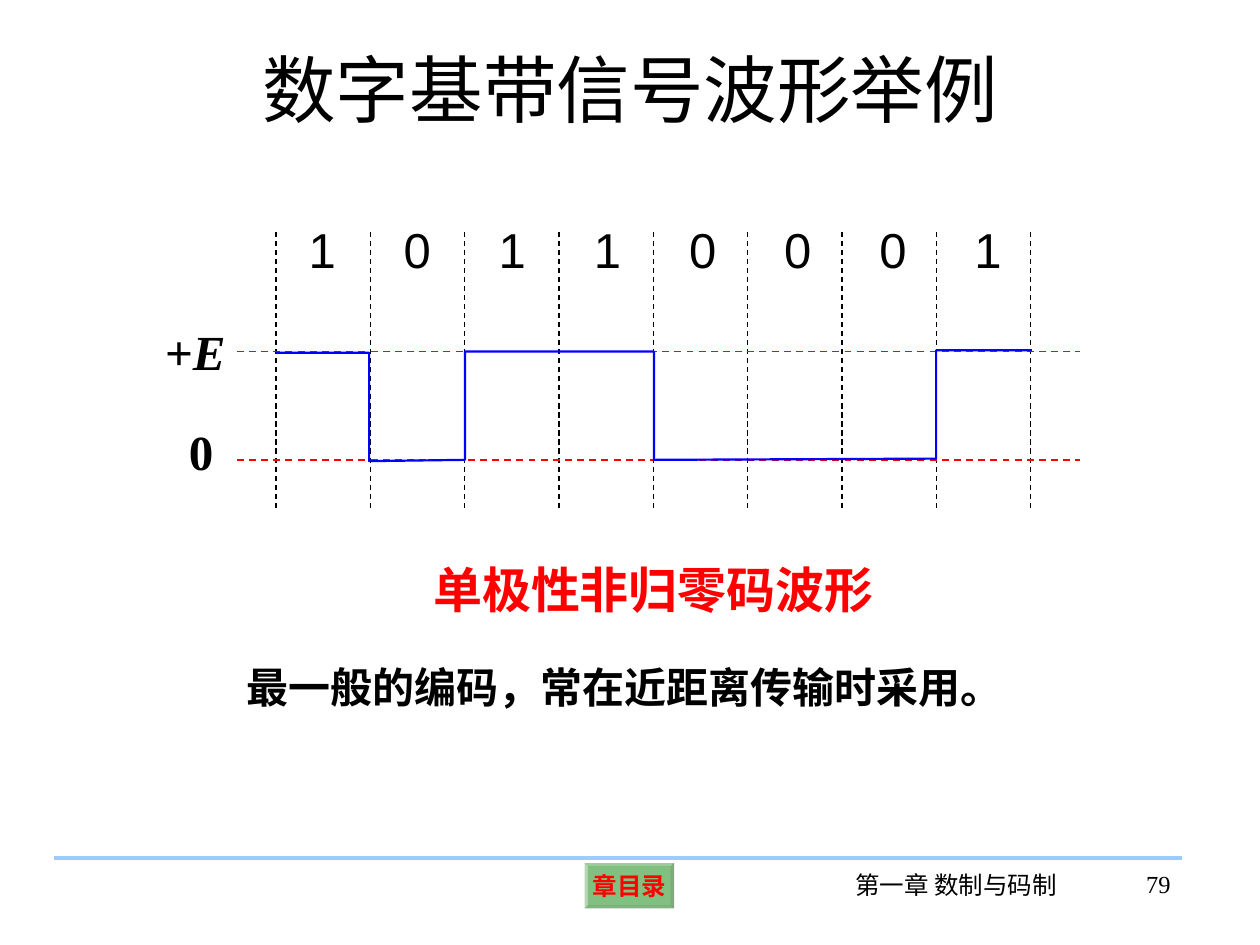
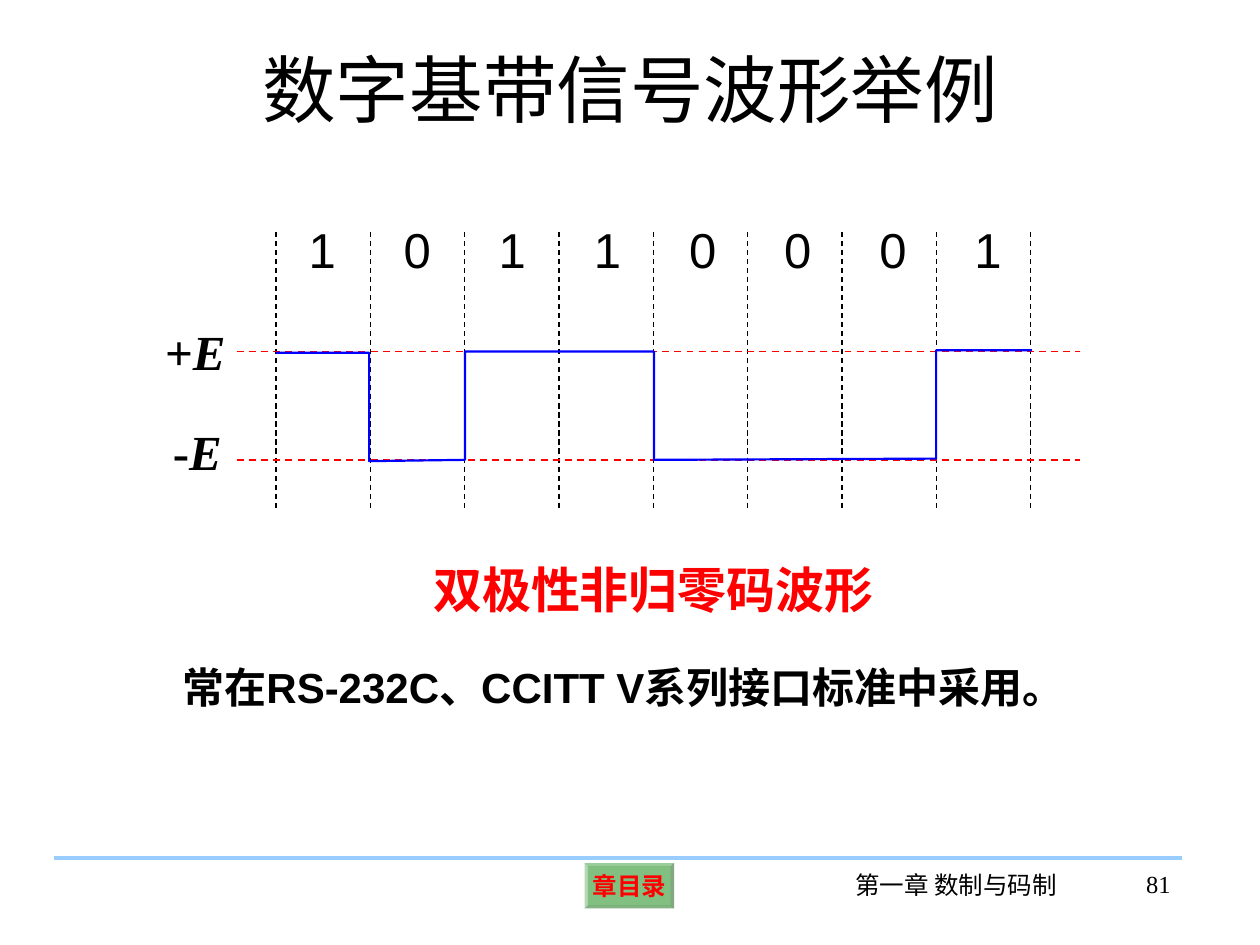
from pptx import Presentation
from pptx.dml.color import RGBColor
from pptx.enum.dml import MSO_LINE
from pptx.enum.lang import MSO_LANGUAGE_ID
from pptx.enum.shapes import MSO_CONNECTOR, MSO_SHAPE
from pptx.enum.text import MSO_ANCHOR, PP_ALIGN
from pptx.oxml.ns import qn
from pptx.util import Inches, Pt
from lxml import etree

BLACK = RGBColor(0x00, 0x00, 0x00)
RED = RGBColor(0xFF, 0x00, 0x00)
BLUE = RGBColor(0x00, 0x00, 0xFF)
SKY = RGBColor(0x99, 0xCC, 0xFF)
GREEN = RGBColor(0x00, 0x80, 0x00)
SERIF, SANS = "Times New Roman", "Arial"
LEFT, CENTER, RIGHT = PP_ALIGN.LEFT, PP_ALIGN.CENTER, PP_ALIGN.RIGHT
MIDDLE = MSO_ANCHOR.MIDDLE
BEVEL = MSO_SHAPE.BEVEL
DASH = MSO_LINE.DASH
STRAIGHT = MSO_CONNECTOR.STRAIGHT
CHINESE = MSO_LANGUAGE_ID.SIMPLIFIED_CHINESE

TITLE = "数字基带信号波形举例"
CHAPTER = "第一章 数制与码制"
BITS = "10110001"
START, END = 2.19, 8.18
STEP = (END - START) / len(BITS)
TAB = 0.755
HIGH, LOW = 2.79, 3.65
WAVE = [(2.19, 2.8), (2.93, 2.8), (2.93, 3.66), (3.69, LOW), (3.69, HIGH),
        (5.19, HIGH), (5.19, LOW), (7.43, 3.64), (7.43, 2.78), (8.19, 2.78)]

PAGES = [
    dict(num="79", name="单极性非归零码波形", low=("0", ""), zero=(1.4, 0.39),
         note="最一般的编码，常在近距离传输时采用。", place=(1.86, 6.42)),
    dict(num="81", name="双极性非归零码波形", low=("-", "E"), zero=(1.27, 0.59),
         note="常在RS-232C、CCITT V系列接口标准中采用。", place=(1.35, 7.2)),
]


def write(text, box=None, shape=None, size=28, font=SERIF, color=BLACK,
          bold=False, align=LEFT, wrap=True, slant="", tabs=()):
    if shape is None:
        shape = slide.shapes.add_textbox(*map(Inches, box))
    frame = shape.text_frame
    frame.word_wrap = wrap
    para = frame.paragraphs[0]
    para.alignment = align
    if tabs:
        stops = etree.SubElement(para._p.get_or_add_pPr(), qn("a:tabLst"))
        for pos in tabs:
            etree.SubElement(stops, qn("a:tab"), pos=str(Inches(pos)), algn="l")
    for part, tilt in ((text, False), (slant, True)):
        if part:
            run = para.add_run()
            run.text = part
            run.font.size = Pt(size)
            run.font.name = font
            run.font.bold = bold
            run.font.italic = tilt
            run.font.color.rgb = color
            run.font.language_id = CHINESE


def rule(x1, y1, x2, y2, color, width=0.75, dash=None):
    line = slide.shapes.add_connector(STRAIGHT, *map(Inches, (x1, y1, x2, y2)))
    line.line.color.rgb = color
    line.line.width = Pt(width)
    if dash:
        line.line.dash_style = dash
    etree.SubElement(line._element.spPr, qn("a:effectLst"))


deck = Presentation()
deck.slide_width = Inches(10)
deck.slide_height = Inches(7.5)

for page in PAGES:
    slide = deck.slides.add_slide(deck.slide_layouts[6])

    button = slide.shapes.add_shape(BEVEL, *map(Inches, (4.64, 6.85, 0.71, 0.36)))
    button.shadow.inherit = False
    button.adjustments[0] = 0.07
    button.fill.solid()
    button.fill.fore_color.rgb = GREEN
    tint = button._element.spPr.find(qn("a:solidFill"))[0]
    etree.SubElement(tint, qn("a:alpha"), val="49000")
    button.line.fill.background()
    frame = button.text_frame
    frame.margin_left = frame.margin_right = Inches(0.04)
    frame.margin_top = frame.margin_bottom = Inches(0.04)
    frame.vertical_anchor = MIDDLE
    write("章目录", shape=button, size=14, color=RED, bold=True,
          align=CENTER, wrap=False)
    rule(0.43, 6.81, 9.38, 6.81, SKY, width=2.25)
    write(CHAPTER, (6.66, 6.86, 1.86, 0.5), size=14, align=CENTER)
    write(page["num"], (8.53, 6.85, 0.86, 0.5), size=14, align=RIGHT)
    write(TITLE, (0.5, 0.3, 9, 1.25), size=42, align=CENTER)

    for i in range(len(BITS) + 1):
        x = START + i * STEP
        rule(x, 1.84, x, 4.05, BLACK, dash=DASH)
    write("\t".join(BITS), (2.35, 1.69, 6.38, 0.57), font=SANS,
          tabs=[i * TAB for i in range(1, len(BITS))])
    for y in (HIGH, LOW):
        rule(1.88, y, 8.57, y, RED, width=1, dash=DASH)

    points = [(Inches(x), Inches(y)) for x, y in WAVE]
    path = slide.shapes.build_freeform(*points[0])
    path.add_line_segments(points[1:], close=False)
    wave = path.convert_to_shape()
    wave.shadow.inherit = False
    wave.fill.background()
    wave.line.color.rgb = BLUE
    wave.line.width = Pt(1.25)

    write(page["name"], (3.34, 4.39, 4.2, 0.57), color=RED, bold=True)
    write("+", (1.21, 2.5, 0.68, 0.57), bold=True, align=CENTER,
          wrap=False, slant="E")
    sign, tail = page["low"]
    x, width = page["zero"]
    write(sign, (x, 3.3, width, 0.57), bold=True, align=CENTER,
          wrap=False, slant=tail)
    x, width = page["place"]
    write(page["note"], (x, 5.2, width, 0.5), size=24, font=SANS, bold=True)

deck.save("out.pptx")
